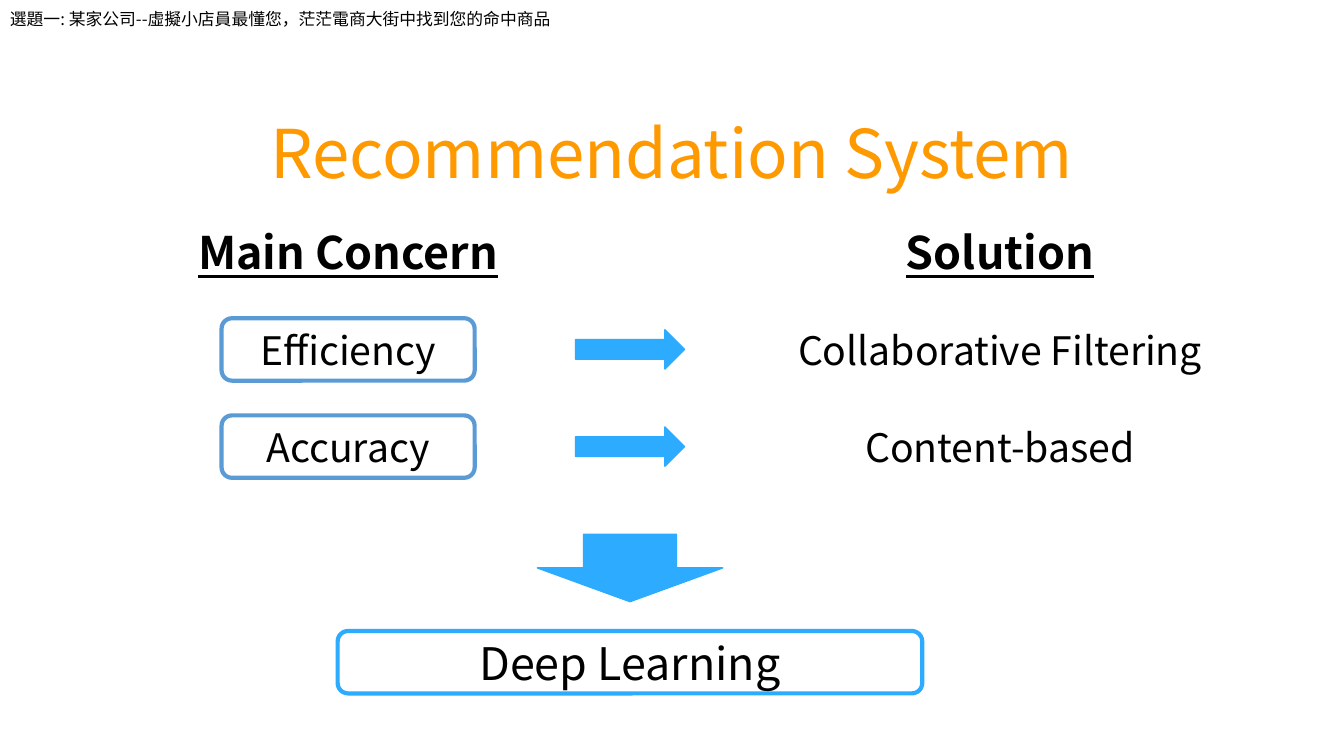
import pptx
import pptx.util
import pptx.dml.color
import pptx.enum.shapes
import pptx.enum.text
import pptx.oxml.ns
import lxml.etree

Pt = pptx.util.Pt
SHAPE = pptx.enum.shapes.MSO_SHAPE
ALIGN = pptx.enum.text.PP_ALIGN
ANCHOR = pptx.enum.text.MSO_ANCHOR

FONT = "Noto Sans CJK SC"
COLORS = {"ink": "000000", "title": "FF9900", "sky": "2CABFF", "steel": "5B9BD5"}
ROW_H = 44.6
PITCH = 69.4
ROWS = [("Efficiency", "Collaborative Filtering"), ("Accuracy", "Content-based")]


def color(name):
    return pptx.dml.color.RGBColor.from_string(COLORS[name])


def place(shape, box):
    shape.left, shape.top, shape.width, shape.height = [Pt(n) for n in box]


def write(shape, text, size, ink="ink", align=ALIGN.CENTER,
          anchor=ANCHOR.MIDDLE, wrap=True, bold=False):
    """Fill a shape with one run; bold text is also underlined."""
    frame = shape.text_frame
    frame.word_wrap = wrap
    frame.vertical_anchor = anchor
    par = frame.paragraphs[0]
    par.alignment = align
    run = par.add_run()
    run.text = text
    font = run.font
    font.size = Pt(size)
    font.bold = bold
    font.underline = bold
    font.color.rgb = color(ink)
    font.name = FONT
    east = lxml.etree.SubElement(font._element, pptx.oxml.ns.qn("a:ea"))
    east.set("typeface", FONT)


def draw(slide, kind, box, fill=None, line=None, weight=1):
    shape = slide.shapes.add_shape(kind, *[Pt(n) for n in box])
    shape.shadow.inherit = False
    if fill:
        shape.fill.solid()
        shape.fill.fore_color.rgb = color(fill)
    else:
        shape.fill.background()
    if line:
        shape.line.color.rgb = color(line)
        shape.line.width = Pt(weight)
    else:
        shape.line.fill.background()
    return shape


def label(slide, mid, top, width, text, size, line=None, bold=False):
    """Add a rounded text box centred on mid."""
    box = (mid - width / 2, top, width, ROW_H)
    shape = draw(slide, SHAPE.ROUNDED_RECTANGLE, box, line=line, weight=3)
    write(shape, text, size, bold=bold)


def topic(slide, box):
    shape = slide.shapes.add_textbox(*[Pt(n) for n in box])
    write(shape, "選題一: 某家公司--虛擬小店員最懂您，茫茫電商大街中找到您的命中商品",
          12, align=ALIGN.LEFT, anchor=ANCHOR.TOP)


def heading(slide, box):
    title = slide.shapes.title
    place(title, box)
    write(title, "Recommendation System", 48, ink="title",
          anchor=ANCHOR.TOP, wrap=False)


def pairs(slide, box):
    """Set each concern beside its solution, with an arrow between."""
    left, top, width, _ = box
    near, far = left + 136.4, left + width - 208.8
    label(slide, near, top, 272.8, "Main Concern", 32, bold=True)
    label(slide, far, top, 254, "Solution", 32, bold=True)
    for i, (concern, cure) in enumerate(ROWS):
        y = top + 69.6 + i * PITCH
        label(slide, near, y, 180.8, concern, 28, line="steel")
        arrow = (left + 298.8, y + (ROW_H - 28) / 2, 77.8, 28)
        draw(slide, SHAPE.RIGHT_ARROW, arrow, "sky", "sky")
        label(slide, far, y, 417.6, cure, 28)


def result(slide, box):
    left, top, width, height = box
    mid = left + width / 2
    arrow = (mid - 66.2, top, 132.4, 48.2)
    draw(slide, SHAPE.DOWN_ARROW, arrow, "sky", "sky")
    label(slide, mid, top + height - ROW_H, width, "Deep Learning", 32, line="sky")


def main():
    deck = pptx.Presentation()
    deck.slide_width, deck.slide_height = Pt(960), Pt(540)
    slide = deck.slides.add_slide(deck.slide_layouts[5])
    topic(slide, (0, 2.9, 421.2, 21.6))
    heading(slide, (182.2, 75.6, 595.4, 65.5))
    pairs(slide, (112.3, 157.7, 810.8, 183.6))
    result(slide, (241.2, 381.6, 417.6, 113.7))
    deck.save("out.pptx")


if __name__ == "__main__":
    main()
